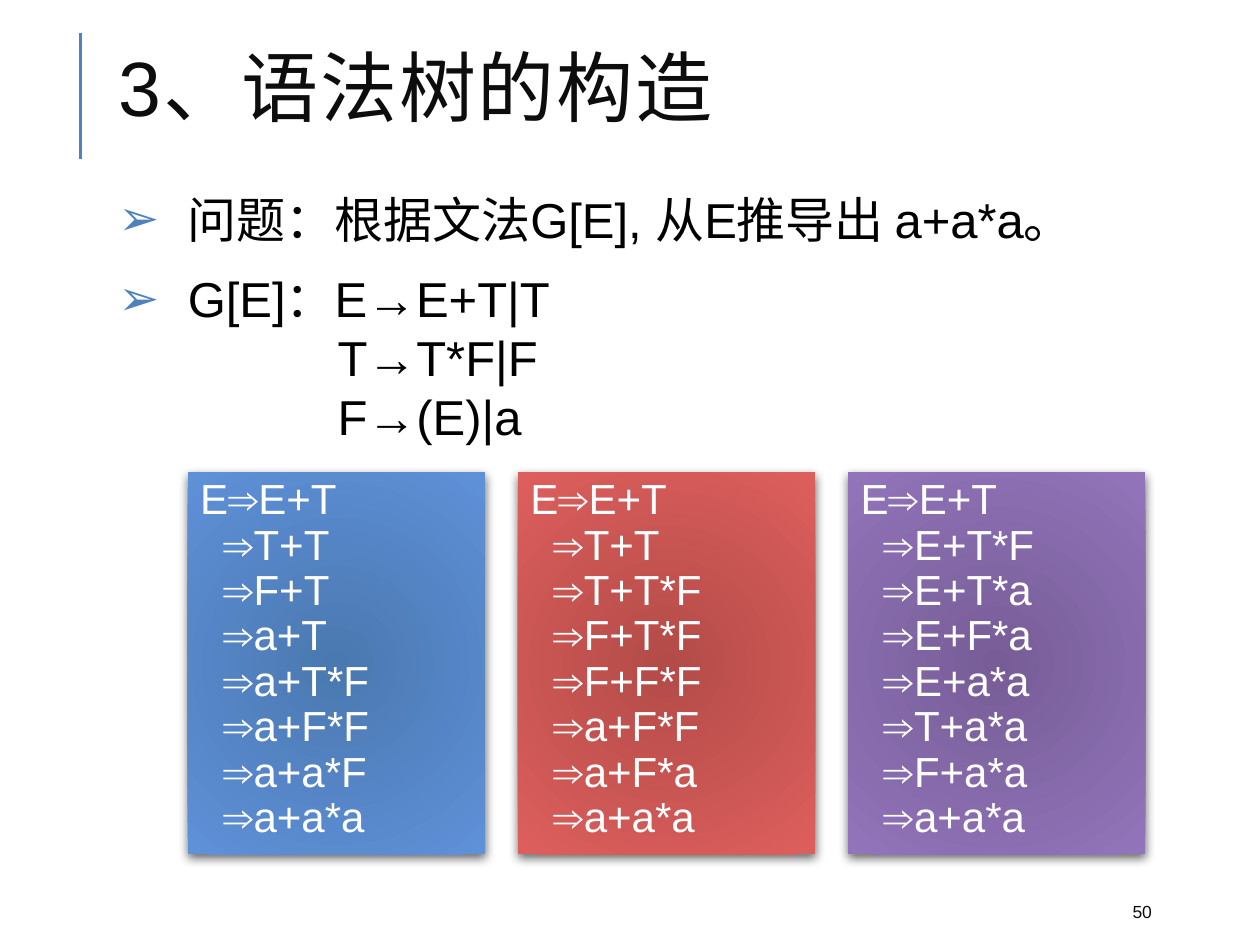
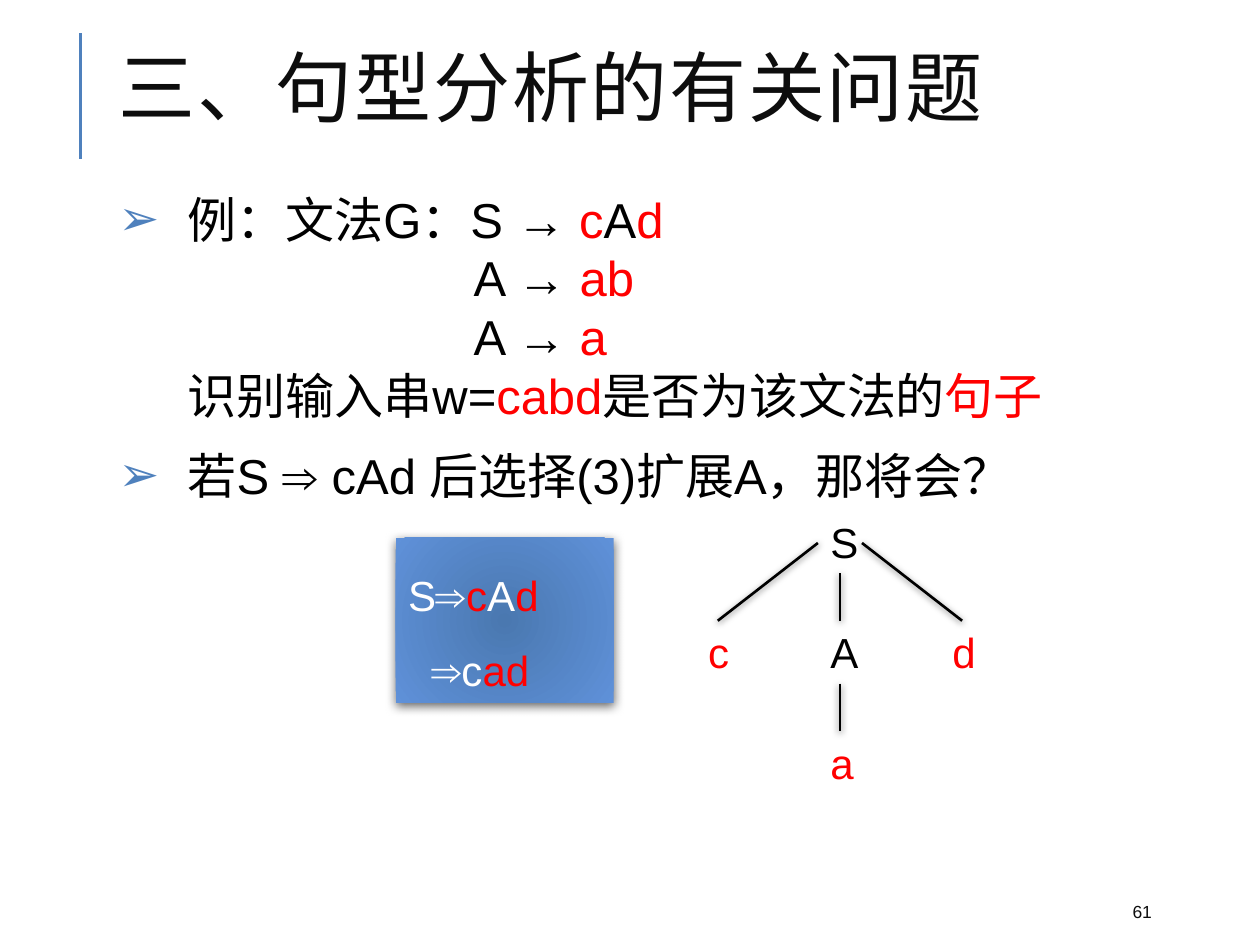
import lxml.etree
import pptx
import pptx.dml.color
import pptx.enum.shapes
import pptx.enum.text
import pptx.oxml.ns
import pptx.util

Pt = pptx.util.Pt
ALIGN = pptx.enum.text.PP_ALIGN
ANCHOR = pptx.enum.text.MSO_ANCHOR

BLUE = ("4A78B0", "5F91D9")
RED = ("B34B48", "DD5F5D")
PURPLE = ("775D97", "9274BA")


def color(value):
    return pptx.dml.color.RGBColor.from_string(value)


def add_element(parent, tag, **attributes):
    element = lxml.etree.SubElement(parent, pptx.oxml.ns.qn(tag))
    for key, value in attributes.items():
        element.set(key, str(value))
    return element


class Lecture:
    font = "Arial"
    accent = "4F81BD"
    highlight = "FF0000"
    ink = "000000"
    title_ink = "0D0D0D"
    bullet_indent = 39.6
    step_indent = 13.3

    def __init__(self):
        self.deck = pptx.Presentation()
        self.deck.slide_width, self.deck.slide_height = Pt(720), Pt(540)
        self.page = None

    def add_page(self, title, number):
        self.page = self.deck.slides.add_slide(self.deck.slide_layouts[1])
        self.line(46.1, 90.7, 46.1, 18.7, self.accent)
        box = self.page.shapes.title
        self.place(box, 60.5, 18.7, 612, 70.6, ANCHOR.MIDDLE)
        para = box.text_frame.paragraphs[0]
        self.add_spans(para, title, 44, self.title_ink)
        para.line_spacing = 0.8
        for span in para.runs:
            span.font._element.set("spc", "100")
        self.label(number, 640.1, 509.8, 57.6, 21.6, 10, self.title_ink, ALIGN.LEFT, ANCHOR.MIDDLE)

    def place(self, box, left, top, width, height, anchor=ANCHOR.TOP):
        box.left, box.top, box.width, box.height = Pt(left), Pt(top), Pt(width), Pt(height)
        frame = box.text_frame
        frame.word_wrap = True
        frame.auto_size = pptx.enum.text.MSO_AUTO_SIZE.NONE
        frame.vertical_anchor = anchor

    def add_spans(self, para, text, size, ink, align=ALIGN.LEFT):
        para.alignment = align
        for index, piece in enumerate(text.split("_")):
            if piece:
                span = para.add_run()
                span.text = piece
                span.font.name = self.font
                span.font.size = Pt(size)
                span.font.color.rgb = color(self.highlight if index % 2 else ink)

    def paragraphs(self, frame, count):
        return [frame.paragraphs[0]] + [frame.add_paragraph() for _ in range(count - 1)]

    def indent(self, para, left, first=0):
        properties = para._p.get_or_add_pPr()
        properties.set("marL", str(Pt(left)))
        properties.set("indent", str(Pt(first)))
        return properties

    def body(self, height, items):
        box = self.page.placeholders[1]
        self.place(box, 60.5, 104.4, 612, height)
        paras = self.paragraphs(box.text_frame, len(items))
        for index, (para, (text, left)) in enumerate(zip(paras, items)):
            bulleted = left == 0
            if bulleted:
                properties = self.indent(para, self.bullet_indent, -self.bullet_indent)
                add_element(add_element(properties, "a:buClr"), "a:srgbClr", val=self.accent)
                add_element(properties, "a:buChar", char="➢")
            else:
                add_element(self.indent(para, left), "a:buNone")
            para.line_spacing = 1.0
            para.space_before = Pt(12 if bulleted and index else 0)
            para.space_after = Pt(0)
            self.add_spans(para, text, 28, self.ink)

    def shadow(self, shape, alpha, blur, distance):
        effects = add_element(shape._element.spPr, "a:effectLst")
        outer = add_element(effects, "a:outerShdw", blurRad=Pt(blur), dist=Pt(distance),
                            dir=5400000, rotWithShape=0)
        add_element(add_element(outer, "a:srgbClr", val="000000"), "a:alpha", val=alpha * 1000)

    def gradient(self, shape, colors):
        fill = add_element(shape._element.spPr, "a:gradFill", rotWithShape=1)
        stops = add_element(fill, "a:gsLst")
        for position, value in zip((0, 100000), colors):
            add_element(add_element(stops, "a:gs", pos=position), "a:srgbClr", val=value)
        center = add_element(fill, "a:path", path="circle")
        add_element(center, "a:fillToRect", l=100000, t=100000, r=100000, b=100000)

    def derivation(self, left, top, width, height, colors, steps, spacing):
        panel = self.page.shapes.add_shape(
            pptx.enum.shapes.MSO_SHAPE.RECTANGLE, Pt(left), Pt(top), Pt(width), Pt(height))
        self.gradient(panel, colors)
        panel.line.fill.background()
        self.shadow(panel, 60, 6, 2)
        self.place(panel, left, top, width, height)
        paras = self.paragraphs(panel.text_frame, len(steps))
        for index, (para, step) in enumerate(zip(paras, steps)):
            if index:
                self.indent(para, self.step_indent)
            para.line_spacing = spacing
            self.add_spans(para, step, 24, "FFFFFF")

    def label(self, text, left, top, width, height, size, ink, align=ALIGN.CENTER, anchor=ANCHOR.TOP):
        box = self.page.shapes.add_textbox(Pt(left), Pt(top), Pt(width), Pt(height))
        self.place(box, left, top, width, height, anchor)
        self.add_spans(box.text_frame.paragraphs[0], text, size, ink, align)

    def line(self, x1, y1, x2, y2, ink, shaded=False):
        connector = self.page.shapes.add_connector(
            pptx.enum.shapes.MSO_CONNECTOR.STRAIGHT, Pt(x1), Pt(y1), Pt(x2), Pt(y2))
        connector.line.color.rgb = color(ink)
        connector.line.width = Pt(1.5)
        if shaded:
            self.shadow(connector, 50, 4, 1)
        else:
            add_element(connector._element.spPr, "a:effectLst")

    def tree(self, center, top):
        spread, level, width, height = 69.8, 63.1, 25.2, 36
        nodes = [("S", 0, 0), ("_c_", -1, 1), ("A", 0, 1), ("_d_", 1, 1), ("_a_", 0, 2)]
        for text, column, row in nodes:
            self.label(text, center + column * spread - width / 2, top + row * level,
                       width, height, 24, self.ink)
        for side in (-1, 1):
            self.line(center + side * spread, top + level, center + side * width / 2,
                      top + 18.7, self.ink, True)
        for row in (0, 1):
            self.line(center, top + row * level + height, center, top + (row + 1) * level,
                      self.ink, True)


def build_syntax_tree_page(lecture):
    lecture.add_page("3、语法树的构造", "50")
    lecture.body(165.6, [
        ("问题：根据文法G[E], 从E推导出 a+a*a。", 0),
        ("G[E]：E→E+T|T", 0),
        ("T→T*F|F", 125.2),
        ("F→(E)|a", 125.2),
    ])
    derivations = [
        (BLUE, "E⇒E+T ⇒T+T ⇒F+T ⇒a+T ⇒a+T*F ⇒a+F*F ⇒a+a*F ⇒a+a*a"),
        (RED, "E⇒E+T ⇒T+T ⇒T+T*F ⇒F+T*F ⇒F+F*F ⇒a+F*F ⇒a+F*a ⇒a+a*a"),
        (PURPLE, "E⇒E+T ⇒E+T*F ⇒E+T*a ⇒E+F*a ⇒E+a*a ⇒T+a*a ⇒F+a*a ⇒a+a*a"),
    ]
    for index, (colors, steps) in enumerate(derivations):
        lecture.derivation(107.3 + index * 188.7, 270, 169.9, 218.2, colors, steps.split(), 0.9)


def build_sentence_analysis_page(lecture):
    lecture.add_page("三、句型分析的有关问题", "61")
    lecture.body(204.5, [
        ("例：文法G：S → _c_A_d_", 0),
        ("A → _ab_", 203),
        ("A → _a_", 203),
        ("识别输入串w=_cabd_是否为该文法的_句子_", lecture.bullet_indent),
        ("若S ⇒ cAd 后选择(3)扩展A，那将会？", 0),
    ])
    lecture.derivation(226.1, 307.4, 124.6, 94.3, BLUE, ["S⇒_c_A_d_", "⇒c_ad_"], 1.5)
    lecture.tree(480, 291.6)


def main():
    lecture = Lecture()
    build_syntax_tree_page(lecture)
    build_sentence_analysis_page(lecture)
    lecture.deck.save("out.pptx")


if __name__ == "__main__":
    main()
